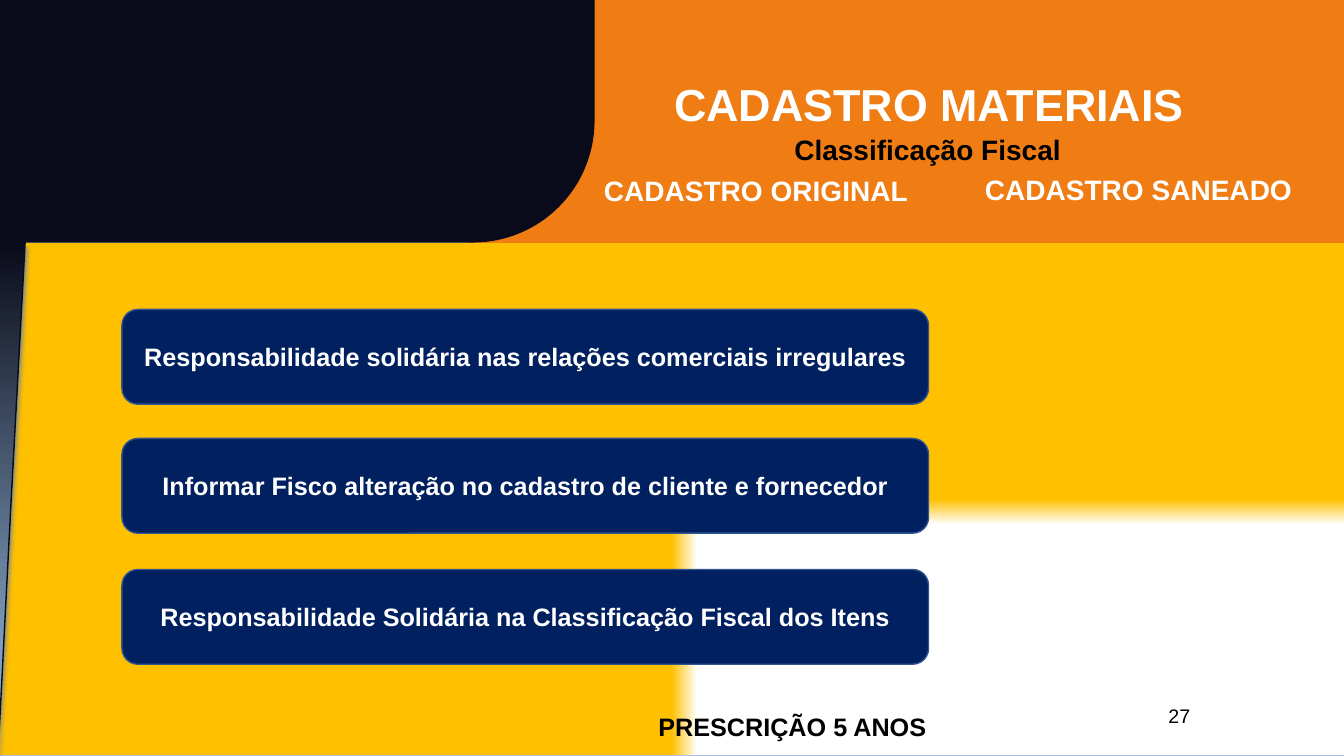
from lxml.etree import SubElement
from pptx import Presentation
from pptx.dml.color import RGBColor
from pptx.enum.shapes import MSO_SHAPE
from pptx.enum.text import MSO_ANCHOR, PP_ALIGN
from pptx.oxml import parse_xml
from pptx.oxml.ns import nsdecls, qn
from pptx.util import Inches, Pt

COLORS = {
    "white": "FFFFFF", "black": "000000", "amber": "FFC000", "orange": "F07D14",
    "night": "0A0B1A", "navy": "002060", "edge": "325491", "pale": "ABC0E4",
    "sky": "9DC3E6", "shade": "4472C4",
}
FONT = "Arial"
TITLE = "CADASTRO MATERIAIS"
RISKS = [
    "Responsabilidade solidária nas relações comerciais irregulares",
    "Informar Fisco alteração no cadastro de cliente e fornecedor",
    "Responsabilidade Solidária na Classificação Fiscal dos Itens",
]
RISK_TOPS = [3.07, 4.35, 5.65]
LABELS = [
    ("Classificação Fiscal", (7.78, 1.26, 2.86, 0.44), 20, "black", True, 0.1),
    ("CADASTRO ORIGINAL", (5.99, 1.71, 3.4, 0.35), 20, "white", True, 0),
    ("CADASTRO SANEADO", (9.67, 1.66, 3.28, 0.44), 20, "white", True, 0.1),
    ("PRESCRIÇÃO 5 ANOS", (6.53, 7.04, 2.8, 0.33), 18, "black", True, 0),
    ("27", (11.49, 6.87, 1.63, 0.46), 14, "black", False, 0.1),
]
HEADER_HEIGHT = 2.4
WEDGE = [(-0.02, 2.4), (0.25, 2.4), (0.11, 4.98), (-0.02, 7.5)]


def color(name):
    return RGBColor.from_string(COLORS[name])


def paint(shape, fill, line):
    shape.shadow.inherit = False
    shape.fill.solid()
    shape.fill.fore_color.rgb = color(fill)
    shape.line.color.rgb = color(line)
    shape.line.width = Pt(1)


def paint_gradient(shape, stops, direction):
    marks = "".join(
        f'<a:gs pos="{place * 1000}"><a:srgbClr val="{COLORS[name]}"/></a:gs>'
        for place, name in stops
    )
    shape.fill.gradient()
    properties = shape._element.spPr
    properties.replace(
        properties.find(qn("a:gradFill")),
        parse_xml(
            f'<a:gradFill {nsdecls("a")} rotWithShape="1">'
            f"<a:gsLst>{marks}</a:gsLst>{direction}</a:gradFill>"
        ),
    )


def add_block(page, kind, place, fill, line):
    shape = page.shapes.add_shape(kind, *map(Inches, place))
    paint(shape, fill, line)
    return shape


def write(shape, text, size, tint, bold=True, align=PP_ALIGN.LEFT):
    frame = shape.text_frame
    frame.text = text
    para = frame.paragraphs[0]
    para.alignment = align
    font = para.runs[0].font
    font.name, font.size, font.bold = FONT, Pt(size), bold
    font.color.rgb = color(tint)


def add_background(page):
    backdrop = add_block(page, MSO_SHAPE.RECTANGLE, (-0.02, HEADER_HEIGHT, 13.36, 5.1), "white", "pale")
    paint_gradient(
        backdrop,
        [(0, "white"), (90, "white"), (100, "amber")],
        '<a:path path="rect"><a:fillToRect l="100000" t="100000"/></a:path>',
    )
    add_block(page, MSO_SHAPE.RECTANGLE, (4.65, 0, 8.68, HEADER_HEIGHT), "orange", "orange")
    corner = add_block(page, MSO_SHAPE.ROUND_1_RECTANGLE, (-0.02, 0, 5.91, HEADER_HEIGHT), "night", "night")
    corner.adjustments[0] = 0.5
    corner._element.spPr.find(qn("a:xfrm")).set("flipV", "1")

    points = [(Inches(x), Inches(y)) for x, y in WEDGE]
    builder = page.shapes.build_freeform(*points[0])
    builder.add_line_segments(points[1:], close=True)
    wedge = builder.convert_to_shape()
    paint(wedge, "night", "night")
    paint_gradient(wedge, [(0, "night"), (100, "sky")], '<a:lin ang="5400000" scaled="0"/>')
    effects = wedge._element.spPr.find(qn("a:effectLst"))
    shadow = SubElement(
        effects, qn("a:outerShdw"), blurRad=str(Pt(4)), dist=str(Pt(4)), dir="5400000"
    )
    SubElement(shadow, qn("a:srgbClr"), val=COLORS["shade"])


def add_risks(page):
    for text, top in zip(RISKS, RISK_TOPS):
        box = add_block(page, MSO_SHAPE.ROUNDED_RECTANGLE, (1.21, top, 8, 0.94), "navy", "edge")
        box.text_frame.vertical_anchor = MSO_ANCHOR.MIDDLE
        write(box, text, 18, "white", align=PP_ALIGN.CENTER)


def add_labels(page):
    for text, place, size, tint, bold, inset in LABELS:
        box = page.shapes.add_textbox(*map(Inches, place))
        frame = box.text_frame
        frame.word_wrap = True
        frame.vertical_anchor = MSO_ANCHOR.MIDDLE
        frame.margin_left = frame.margin_right = Inches(inset)
        frame.margin_top = frame.margin_bottom = Inches(inset / 2)
        write(box, text, size, tint, bold)


def add_title(page):
    title = page.shapes.title
    title.left, title.top, title.width, title.height = map(Inches, (5.1, 0.71, 8.23, 0.64))
    title.text_frame.vertical_anchor = MSO_ANCHOR.MIDDLE
    write(title, TITLE, 32, "white", align=PP_ALIGN.CENTER)
    page.shapes._spTree.append(title._element)


def main():
    deck = Presentation()
    deck.slide_width, deck.slide_height = Inches(13.33), Inches(7.5)
    page = deck.slides.add_slide(deck.slide_layouts[5])
    add_background(page)
    add_risks(page)
    add_labels(page)
    add_title(page)
    deck.save("out.pptx")


if __name__ == "__main__":
    main()
